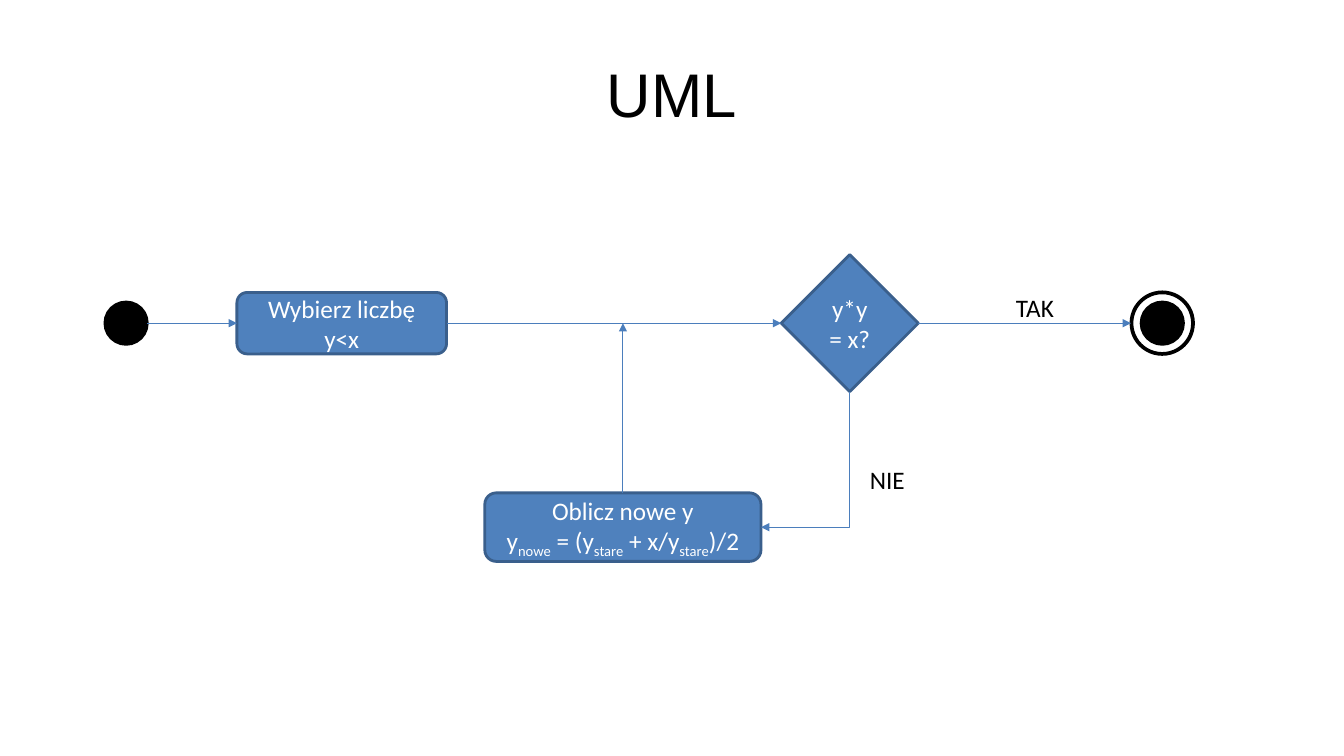
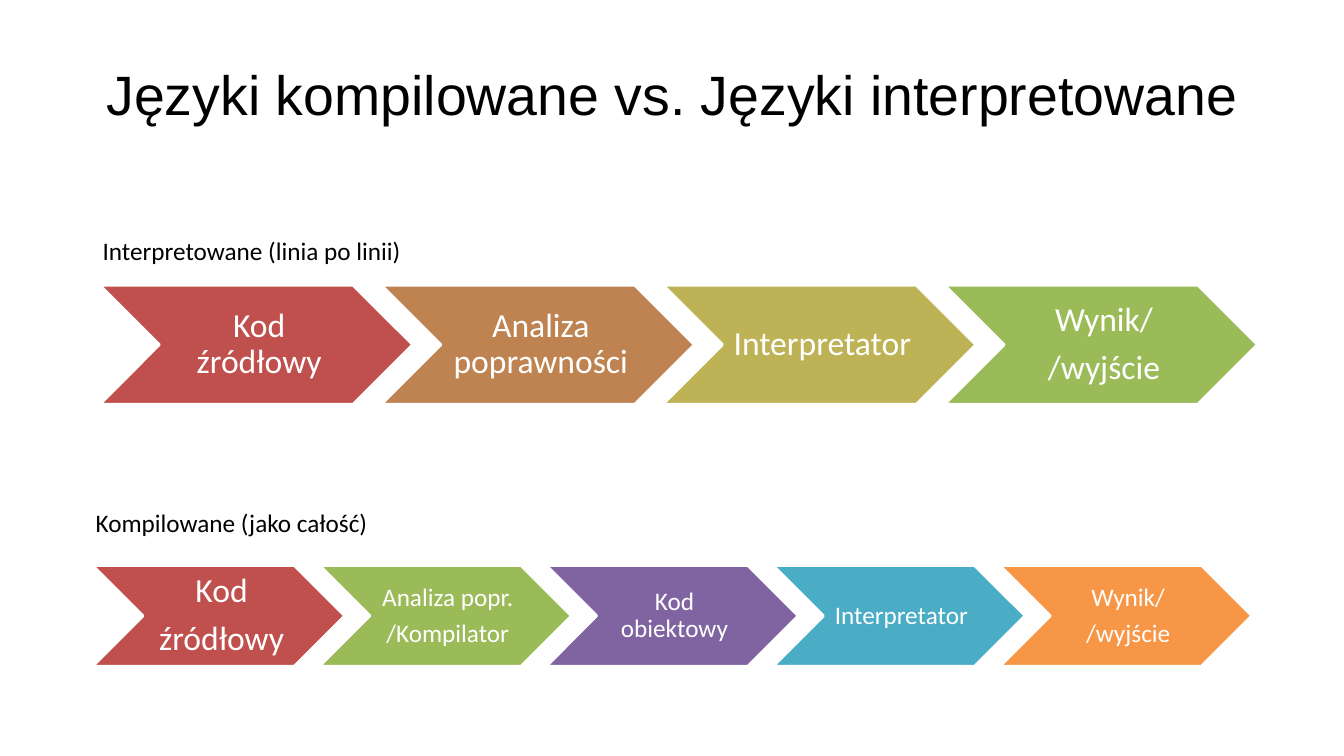
from lxml import etree
from pptx import Presentation
from pptx.dml.color import RGBColor
from pptx.enum.shapes import MSO_CONNECTOR, MSO_SHAPE
from pptx.enum.text import MSO_ANCHOR, MSO_AUTO_SIZE, PP_ALIGN
from pptx.oxml.ns import qn
from pptx.util import Inches, Pt

STRAIGHT, ELBOW = MSO_CONNECTOR.STRAIGHT, MSO_CONNECTOR.ELBOW
OVAL, DONUT = MSO_SHAPE.OVAL, MSO_SHAPE.DONUT
ROUNDED, DIAMOND = MSO_SHAPE.ROUNDED_RECTANGLE, MSO_SHAPE.DIAMOND
CHEVRON = MSO_SHAPE.CHEVRON
LEFT, CENTER = PP_ALIGN.LEFT, PP_ALIGN.CENTER
TOP, MIDDLE = MSO_ANCHOR.TOP, MSO_ANCHOR.MIDDLE
FIT = MSO_AUTO_SIZE.SHAPE_TO_FIT_TEXT

BLACK = RGBColor(0x00, 0x00, 0x00)
WHITE = RGBColor(0xFF, 0xFF, 0xFF)
BLUE = RGBColor(0x4F, 0x81, 0xBD)
DARK_BLUE = RGBColor(0x3A, 0x5F, 0x8C)
ARROW_BLUE = RGBColor(0x4B, 0x7E, 0xBC)
RED = RGBColor(0xC0, 0x50, 0x4D)
BROWN = RGBColor(0xBE, 0x83, 0x51)
OLIVE = RGBColor(0xBD, 0xB2, 0x55)
GREEN = RGBColor(0x9B, 0xBB, 0x59)
PURPLE = RGBColor(0x80, 0x64, 0xA2)
TEAL = RGBColor(0x4B, 0xAC, 0xC6)
ORANGE = RGBColor(0xF7, 0x96, 0x46)

WIDTH, HEIGHT = Inches(13.33), Inches(7.5)
AXIS = 42.75
DOT = (3.15, 5.6)
RING = (4.65, 8.27)
OVERLAP_STEP = 0.9


def col(share):
    return round(WIDTH * share / 100)


def row(share):
    return round(HEIGHT * share / 100)


def write(sp, text, size=18, color=BLACK, font="Calibri", align=CENTER,
          anchor=MIDDLE, wrap=True, insets=(0.1, 0.05, 0.1, 0.05),
          line_spacing=None, space_after=None):
    tf = sp.text_frame
    tf.word_wrap = wrap
    tf.vertical_anchor = anchor
    tf.margin_left, tf.margin_top, tf.margin_right, tf.margin_bottom = map(Inches, insets)
    for i, line in enumerate(text.split("\n")):
        p = tf.add_paragraph() if i else tf.paragraphs[0]
        p.alignment = align
        p.line_spacing = line_spacing
        p.space_after = space_after
        for j, part in enumerate(line.split("~")):
            r = p.add_run()
            r.text = part
            r.font.size, r.font.name = Pt(size), font
            r.font.color.rgb = color
            if j % 2:
                r.font._element.set("baseline", "-25000")


def add_title(slide, text, size):
    sp = slide.shapes.add_textbox(col(5), row(4), col(90), row(16.67))
    write(sp, text, size=size, font="Arial", insets=(0.12, 0.06, 0.12, 0.06))


def add_label(slide, text, left, top, width):
    sp = slide.shapes.add_textbox(col(left), row(top), col(width), row(5.33))
    write(sp, text, align=LEFT, anchor=TOP, wrap=False)
    sp.text_frame.auto_size = FIT


def add_block(slide, kind, left, top, width, height, fill, line):
    sp = slide.shapes.add_shape(kind, col(left), row(top), col(width), row(height))
    sp.shadow.inherit = False
    sp.fill.solid()
    sp.fill.fore_color.rgb = fill
    sp.line.color.rgb = line
    sp.line.width = Pt(2)
    return sp


def add_node(slide, kind, cx, cy, size, text="", fill=BLUE, line=DARK_BLUE):
    w, h = size
    sp = add_block(slide, kind, cx - w / 2, cy - h / 2, w, h, fill, line)
    if text:
        write(sp, text, color=WHITE)
    return sp


def style_arrow(c):
    c.line.color.rgb = ARROW_BLUE
    c.line.width = Pt(0.75)
    etree.SubElement(c.line._get_or_add_ln(), qn("a:tailEnd"), type="triangle")
    etree.SubElement(c._element.spPr, qn("a:effectLst"))


def add_arrow(slide, x1, y1, x2, y2):
    style_arrow(slide.shapes.add_connector(STRAIGHT, col(x1), row(y1), col(x2), row(y2)))


def add_down_left_arrow(slide, x1, y1, x2, y2):
    cx, cy = col((x1 + x2) / 2), row((y1 + y2) / 2)
    run, drop = col(x1 - x2) // 2, row(y2 - y1) // 2
    c = slide.shapes.add_connector(ELBOW, cx - drop, cy - run, cx + drop, cy + run)
    spPr = c._element.spPr
    spPr.find(qn("a:xfrm")).set("rot", "5400000")
    spPr.find(qn("a:prstGeom")).set("prst", "bentConnector2")
    style_arrow(c)


def add_chevrons(slide, steps, left, top, width, height):
    for i, (text, fill, size) in enumerate(steps):
        sp = add_block(slide, CHEVRON, left + i * width * OVERLAP_STEP, top,
                       width, height, fill, WHITE)
        pad = size / 600
        write(sp, text, size=size, color=WHITE, insets=(size / 240, pad, pad, pad),
              line_spacing=0.9, space_after=Pt(size * 0.35))


def build_uml(slide):
    add_title(slide, "UML", 44)
    start_x, choose_x, compute_x, test_x, end_x = 9.38, 25.43, 46.35, 63.23, 86.48
    compute_y = 69.73
    choose, compute, test = (15.6, 8.13), (20.55, 9.07), (10.2, 18.13)

    add_node(slide, OVAL, start_x, AXIS, DOT, fill=BLACK, line=BLACK)
    add_node(slide, ROUNDED, choose_x, AXIS, choose, "Wybierz liczbę y<x")
    add_node(slide, DIAMOND, test_x, AXIS, test, "y*y = x?")
    ring = add_node(slide, DONUT, end_x, AXIS, RING, fill=BLACK, line=BLACK)
    ring.adjustments[0] = 0.015
    add_node(slide, OVAL, end_x, AXIS, DOT, fill=BLACK, line=BLACK)
    add_node(slide, ROUNDED, compute_x, compute_y, compute,
             "Oblicz nowe y\ny~nowe~ = (y~stare~ + x/y~stare~)/2")

    stops = [(start_x, DOT), (choose_x, choose), (test_x, test), (end_x, RING)]
    for (x1, size1), (x2, size2) in zip(stops, stops[1:]):
        add_arrow(slide, x1 + size1[0] / 2, AXIS, x2 - size2[0] / 2, AXIS)
    add_arrow(slide, compute_x, compute_y - compute[1] / 2, compute_x, AXIS)
    add_down_left_arrow(slide, test_x, AXIS + test[1] / 2,
                        compute_x + compute[0] / 2, compute_y)
    add_label(slide, "TAK", 74.85, 38, 4.35)
    add_label(slide, "NIE", 63.98, 60.8, 4.12)


def build_languages(slide):
    add_title(slide, "Języki kompilowane vs. Języki interpretowane", 39.6)
    interpreted = [
        ("Kod źródłowy", RED, 24),
        ("Analiza poprawności", BROWN, 24),
        ("Interpretator", OLIVE, 24),
        ("Wynik/\n/wyjście", GREEN, 24),
    ]
    compiled = [
        ("Kod\nźródłowy", RED, 24),
        ("Analiza popr.\n/Kompilator", GREEN, 18),
        ("Kod obiektowy", PURPLE, 18),
        ("Interpretator", TEAL, 18),
        ("Wynik/\n/wyjście", ORANGE, 18),
    ]
    add_chevrons(slide, interpreted, 7.43, 37.73, 23.28, 15.73)
    add_label(slide, "Interpretowane (linia po linii)", 6.9, 30.53, 24.9)
    add_chevrons(slide, compiled, 6.9, 74.8, 18.75, 13.33)
    add_label(slide, "Kompilowane (jako całość)", 6.38, 66.4, 21.98)


def main():
    prs = Presentation()
    prs.slide_width, prs.slide_height = WIDTH, HEIGHT
    for build in (build_uml, build_languages):
        build(prs.slides.add_slide(prs.slide_layouts[6]))
    prs.save("out.pptx")


main()
